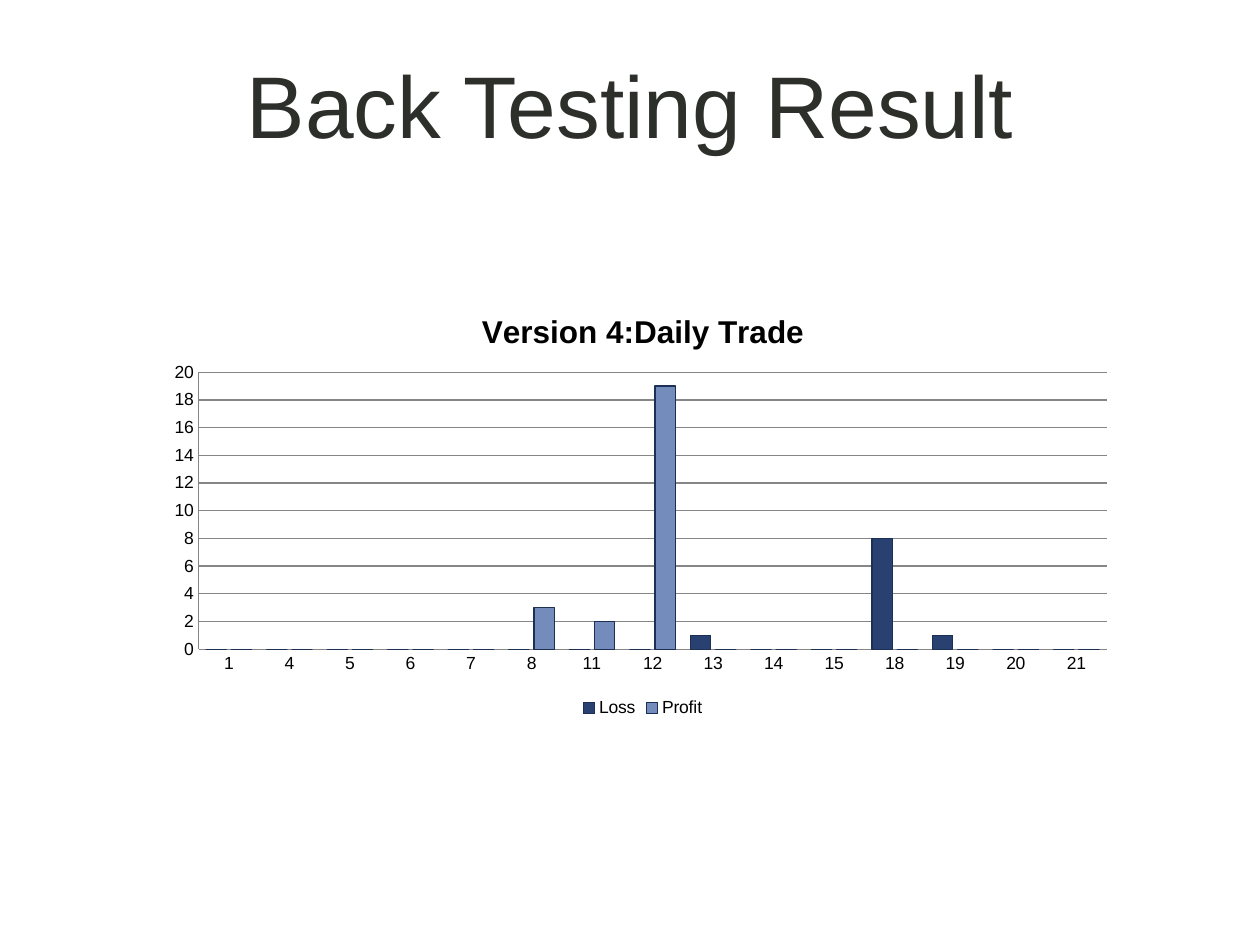
import pptx
import pptx.chart.data
import pptx.dml.color
import pptx.enum.chart
import pptx.enum.text
import pptx.oxml
import pptx.oxml.ns
import pptx.util

EMU_PER_PX = 914400 / 126
FONT = "Arial"
BLACK, GREY, NAVY, BLUE = "000000", "868686", "294171", "748CBC"


def px(length):
    return pptx.util.Emu(round(length * EMU_PER_PX))


def color(hex_string):
    return pptx.dml.color.RGBColor.from_string(hex_string)


def style_font(font, size, hex_color, bold=False):
    font.name = FONT
    font.size = pptx.util.Pt(size)
    font.bold = bold
    font.color.rgb = color(hex_color)


def write_text(text_frame, text, size=10, hex_color=BLACK, bold=False):
    paragraph = text_frame.paragraphs[0]
    paragraph.alignment = pptx.enum.text.PP_ALIGN.CENTER
    run = paragraph.add_run()
    run.text = text
    style_font(run.font, size, hex_color, bold)


class SlideBuilder:
    """Holds the current slide and the chart line style."""

    line_width = pptx.util.Pt(0.75)

    def __init__(self, slide):
        self.slide = slide
        slide.background.fill.solid()
        slide.background.fill.fore_color.rgb = color("FFFFFF")

    def style_line(self, line, hex_color):
        line.color.rgb = color(hex_color)
        line.width = self.line_width

    def title(self, text, left, top, width, height):
        shape = self.slide.shapes.title
        shape.left, shape.top = px(left), px(top)
        shape.width, shape.height = px(width), px(height)
        text_frame = shape.text_frame
        text_frame.vertical_anchor = pptx.enum.text.MSO_ANCHOR.MIDDLE
        write_text(text_frame, text, size=50, hex_color="2D2F2B")

    def column_chart(self, title, categories, series, left, top, width, height):
        data = pptx.chart.data.CategoryChartData(number_format="0")
        data.categories = categories
        for name, values, _ in series:
            data.add_series(name, values)
        chart = self.slide.shapes.add_chart(
            pptx.enum.chart.XL_CHART_TYPE.COLUMN_CLUSTERED,
            px(left), px(top), px(width), px(height), data).chart
        style_font(chart.font, 10, BLACK)

        # Chart title and legend
        chart.has_title = True
        write_text(chart.chart_title.text_frame, title, size=18, bold=True)
        chart.chart_title.include_in_layout = False
        chart.has_legend = True
        chart.legend.position = pptx.enum.chart.XL_LEGEND_POSITION.BOTTOM
        chart.legend.include_in_layout = False

        # Axes
        for axis in (chart.category_axis, chart.value_axis):
            axis.major_tick_mark = pptx.enum.chart.XL_TICK_MARK.NONE
            axis.minor_tick_mark = pptx.enum.chart.XL_TICK_MARK.NONE
            self.style_line(axis.format.line, GREY)
        value_axis = chart.value_axis
        value_axis.minimum_scale, value_axis.maximum_scale = 0, 20
        value_axis.major_unit = 2
        value_axis.has_major_gridlines = True
        self.style_line(value_axis.major_gridlines.format.line, GREY)

        # Columns
        plot = chart.plots[0]
        plot.vary_by_categories = False
        plot.gap_width, plot.overlap = 75, -25
        for column, (_, _, fill) in zip(plot.series, series):
            column.format.fill.solid()
            column.format.fill.fore_color.rgb = color(fill)
            self.style_line(column.format.line, "1C2F54")
        return chart

    def place_plot(self, chart, x, y, w, h):
        """Place the inner plot area, in fractions of the chart."""
        plot_area = chart.plots[0]._element.getparent()
        for layout in plot_area.findall(pptx.oxml.ns.qn("c:layout")):
            plot_area.remove(layout)
        sizes = "".join(f'<c:{tag} val="{value}"/>'
                        for tag, value in zip("xywh", (x, y, w, h)))
        plot_area.insert(0, pptx.oxml.parse_xml(
            f'<c:layout {pptx.oxml.ns.nsdecls("c")}><c:manualLayout>'
            '<c:layoutTarget val="inner"/><c:xMode val="edge"/>'
            f'<c:yMode val="edge"/>{sizes}</c:manualLayout></c:layout>'))


def main():
    presentation = pptx.Presentation()
    presentation.slide_width, presentation.slide_height = px(1260), px(945)
    title_only = presentation.slide_layouts[5]
    builder = SlideBuilder(presentation.slides.add_slide(title_only))

    builder.title("Back Testing Result", 95, 9, 1071, 189)

    # Trades per day of the month; days not listed had none
    days = [1, 4, 5, 6, 7, 8, 11, 12, 13, 14, 15, 18, 19, 20, 21]
    losses = {13: 1, 18: 8, 19: 1}
    profits = {8: 3, 11: 2, 12: 19}
    series = [(name, [trades.get(day, 0) for day in days], fill)
              for name, trades, fill in (("Loss", losses, NAVY),
                                         ("Profit", profits, BLUE))]
    chart = builder.column_chart("Version 4:Daily Trade", [str(day) for day in days],
                                 series, 160, 290, 966, 433)
    builder.place_plot(chart, 0.04, 0.19, 0.94, 0.64)

    presentation.save("out.pptx")


if __name__ == "__main__":
    main()
